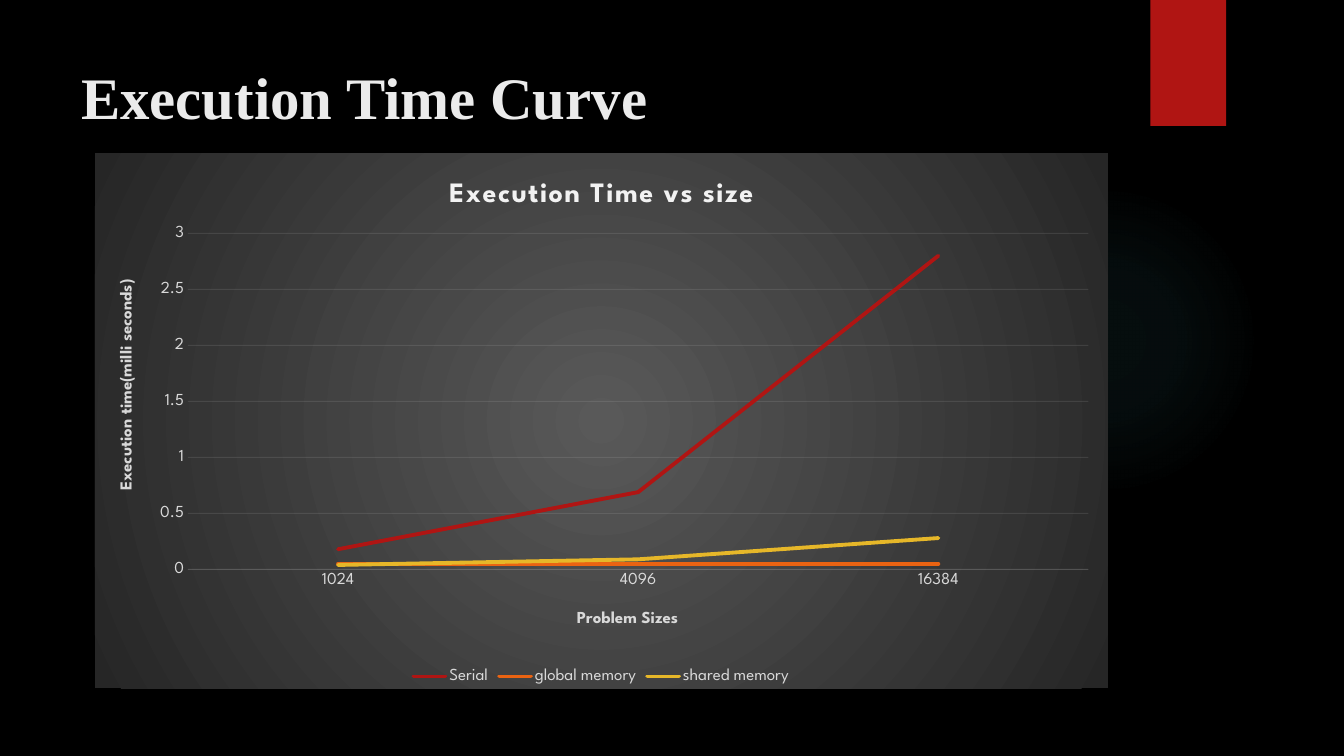
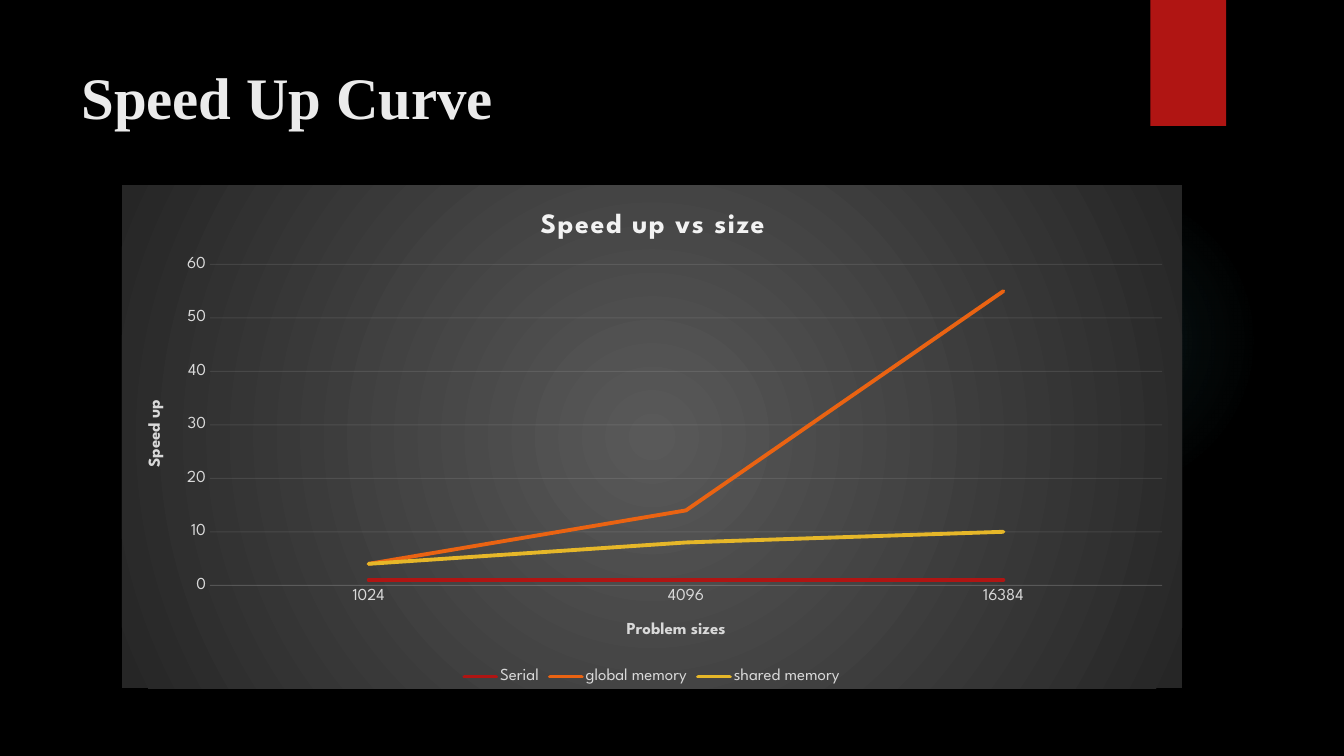
import pptx
import pptx.util
import pptx.chart.data
import pptx.dml.color
import pptx.enum.chart
import pptx.enum.shapes
import pptx.enum.text
import pptx.oxml
import pptx.oxml.ns

Pt = pptx.util.Pt
qn = pptx.oxml.ns.qn
COLORS = {
    name: pptx.dml.color.RGBColor.from_string(value)
    for name, value in {
        "background": "000000", "title": "EBEBEB", "red": "B01513",
        "orange": "EA6312", "yellow": "E6B729", "glow": "50B9C1",
        "panel_center": "595959", "panel_edge": "262626",
        "chart_title": "F2F2F2", "label": "D9D9D9", "grid": "F2F2F2",
    }.items()
}
TITLE_FONT = "Times New Roman"
CHART_FONT = "League Spartan"
SERIES_COLORS = ["red", "orange", "yellow"]
SIZES = ["1024", "4096", "16384"]

# Boxes are left, top, width, height in points; the layout values are
# fractions of the chart's width and height.
CHARTS = [
    {
        "heading": "Execution Time Curve",
        "box": (67.7, 109.4, 723.6, 382.3),
        "plot": (0.092, 0.15, 0.889, 0.628),
        "title": ("Execution Time vs size", 0.345, 0.04),
        "category_title": ("Problem Sizes", 0.473, 0.847),
        "value_title": ("Execution time(milli seconds)", 0.02, 0.23),
        "maximum": 3, "step": 0.5,
        "series": {
            "Serial": [0.18, 0.69, 2.8],
            "global memory": [0.05, 0.05, 0.05],
            "shared memory": [0.04, 0.09, 0.28],
        },
    },
    {
        "heading": "Speed Up Curve",
        "box": (87.1, 132.5, 757.4, 359.3),
        "plot": (0.083, 0.157, 0.898, 0.638),
        "title": ("Speed up vs size", 0.39, 0.04),
        "category_title": ("Problem sizes", 0.473, 0.86),
        "value_title": ("Speed up", 0.02, 0.42),
        "maximum": 60, "step": 10,
        "series": {
            "Serial": [1, 1, 1],
            "global memory": [4, 14, 55],
            "shared memory": [4, 8, 10],
        },
    },
]


def radial_fill(stops):
    """Return a circular a:gradFill from (position %, color name, alpha %) stops."""
    marks = "".join(
        f'<a:gs pos="{position * 1000}"><a:srgbClr val="{COLORS[name]}">'
        f'<a:alpha val="{alpha * 1000}"/></a:srgbClr></a:gs>'
        for position, name, alpha in stops
    )
    return pptx.oxml.parse_xml(
        f'<a:gradFill {pptx.oxml.ns.nsdecls("a")} rotWithShape="1"><a:gsLst>{marks}</a:gsLst>'
        '<a:path path="circle"><a:fillToRect l="50000" t="50000" r="50000" b="50000"/>'
        "</a:path></a:gradFill>"
    )


def set_layout(element, index, x, y, width=None, height=None):
    """Fix a chart part's place; index is where c:layout belongs among its children."""
    for old_layout in element.findall(qn("c:layout")):
        element.remove(old_layout)
    target = '<c:layoutTarget val="inner"/>' if width else ""
    values = {"x": x, "y": y, "w": width, "h": height}
    modes = "".join(f'<c:{key}Mode val="edge"/>' for key in "xy")
    lengths = "".join(f'<c:{key} val="{value}"/>' for key, value in values.items() if value)
    element.insert(index, pptx.oxml.parse_xml(
        f'<c:layout {pptx.oxml.ns.nsdecls("c")}><c:manualLayout>{target}{modes}{lengths}'
        "</c:manualLayout></c:layout>"
    ))


deck = pptx.Presentation()
deck.slide_width = Pt(960)
deck.slide_height = Pt(540)
master_fill = deck.slide_master.background.fill
master_fill.solid()
master_fill.fore_color.rgb = COLORS["background"]
blank_layout = deck.slide_layouts[6]

for content in CHARTS:
    slide = deck.slides.add_slide(blank_layout)

    glow = slide.shapes.add_shape(
        pptx.enum.shapes.MSO_SHAPE.OVAL, Pt(677.5), Pt(131.8), Pt(221.8), Pt(221.8))
    glow.shadow.inherit = False
    glow.line.fill.background()
    glow.fill.background()
    no_fill = glow.element.spPr.find(qn("a:noFill"))
    glow.element.spPr.replace(
        no_fill, radial_fill([(0, "glow", 7), (36, "glow", 6), (69, "glow", 0)]))

    ribbon = slide.shapes.add_shape(
        pptx.enum.shapes.MSO_SHAPE.RECTANGLE, Pt(821.8), Pt(0), Pt(54), Pt(90))
    ribbon.shadow.inherit = False
    ribbon.line.fill.background()
    ribbon.fill.solid()
    ribbon.fill.fore_color.rgb = COLORS["red"]

    heading = slide.shapes.add_textbox(Pt(51), Pt(40), Pt(741), Pt(62))
    heading.text_frame.word_wrap = True
    heading.text_frame.vertical_anchor = pptx.enum.text.MSO_ANCHOR.TOP
    span = heading.text_frame.paragraphs[0].add_run()
    span.text = content["heading"]
    span.font.name = TITLE_FONT
    span.font.size = Pt(42)
    span.font.bold = True
    span.font.color.rgb = COLORS["title"]

    data = pptx.chart.data.CategoryChartData()
    data.categories = SIZES
    for name, values in content["series"].items():
        data.add_series(name, values)
    chart = slide.shapes.add_chart(
        pptx.enum.chart.XL_CHART_TYPE.LINE, *map(Pt, content["box"]), data).chart
    chart.font.name = CHART_FONT
    chart.font.size = Pt(12)
    chart.font.color.rgb = COLORS["label"]

    panel = pptx.oxml.parse_xml(
        f'<c:spPr {pptx.oxml.ns.nsdecls("c", "a")}><a:ln><a:noFill/></a:ln></c:spPr>')
    panel.insert(0, radial_fill([(0, "panel_center", 100), (100, "panel_edge", 100)]))
    chart.element.find(qn("c:chart")).addnext(panel)
    set_layout(chart.element.find(".//" + qn("c:plotArea")), 0, *content["plot"])

    category_axis, value_axis = chart.category_axis, chart.value_axis
    value_axis.minimum_scale = 0
    value_axis.maximum_scale = content["maximum"]
    value_axis.major_unit = content["step"]
    value_axis.has_major_gridlines = True
    value_axis.format.line.fill.background()
    for axis in (category_axis, value_axis):
        axis.major_tick_mark = pptx.enum.chart.XL_TICK_MARK.NONE
        axis.minor_tick_mark = pptx.enum.chart.XL_TICK_MARK.NONE
    for line in (category_axis.format.line, value_axis.major_gridlines.format.line):
        line.width = Pt(0.75)
        line.color.rgb = COLORS["grid"]
        color = line._get_or_add_ln().find(".//" + qn("a:srgbClr"))
        color.append(pptx.oxml.parse_xml(
            f'<a:alpha {pptx.oxml.ns.nsdecls("a")} val="10000"/>'))

    for title, key, size, color_name in (
        (chart.chart_title, "title", 20, "chart_title"),
        (category_axis.axis_title, "category_title", 12, "label"),
        (value_axis.axis_title, "value_title", 12, "label"),
    ):
        text, x, y = content[key]
        span = title.text_frame.paragraphs[0].add_run()
        span.text = text
        span.font.name = CHART_FONT
        span.font.size = Pt(size)
        span.font.bold = True
        span.font.color.rgb = COLORS[color_name]
        if key == "title":
            span.font._element.set("spc", "100")
        if key == "value_title":
            title.element.find(".//" + qn("a:bodyPr")).set("rot", "-5400000")
        set_layout(title.element, 1, x, y)

    chart.has_legend = True
    chart.legend.position = pptx.enum.chart.XL_LEGEND_POSITION.BOTTOM
    chart.legend.include_in_layout = False
    chart.legend.font.name = CHART_FONT
    chart.legend.font.size = Pt(12)
    chart.legend.font.color.rgb = COLORS["label"]

    chart.plots[0].vary_by_categories = False
    for series, color_name in zip(chart.plots[0].series, SERIES_COLORS):
        series.smooth = False
        series.marker.style = pptx.enum.chart.XL_MARKER_STYLE.NONE
        series.format.line.width = Pt(2.75)
        series.format.line.color.rgb = COLORS[color_name]
        series.format.line._get_or_add_ln().set("cap", "rnd")

deck.save("out.pptx")
